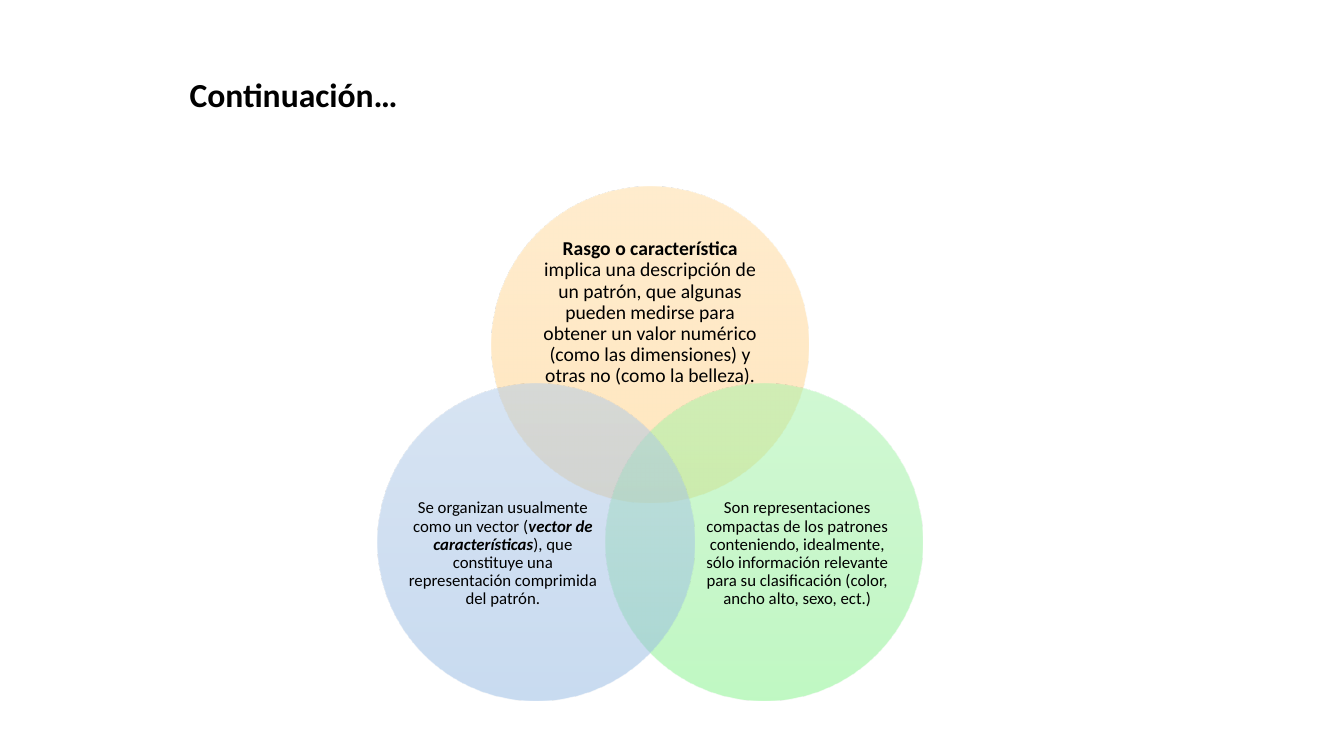
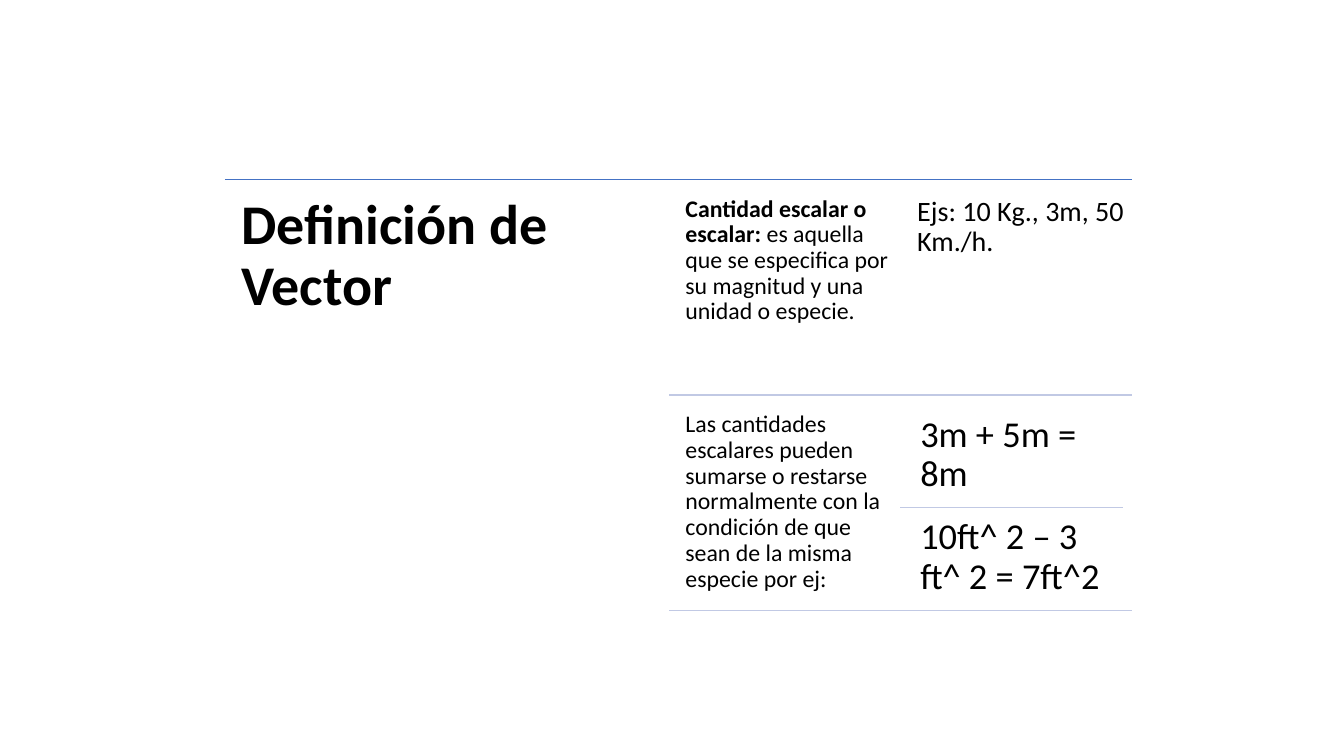
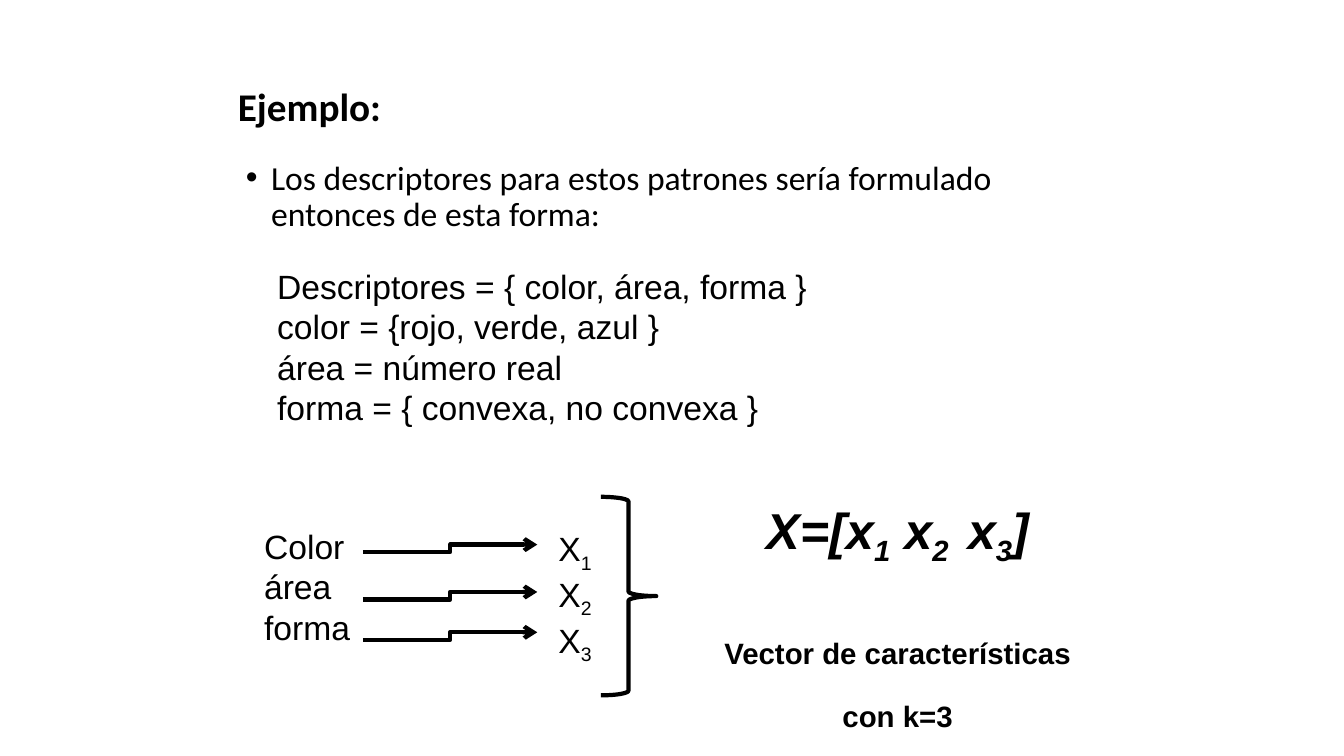
from dataclasses import dataclass, field
from math import cos, radians, sin

from lxml import etree
from pptx import Presentation
from pptx.dml.color import RGBColor
from pptx.enum.shapes import MSO_CONNECTOR, MSO_SHAPE
from pptx.enum.text import MSO_ANCHOR, MSO_AUTO_SIZE, PP_ALIGN
from pptx.oxml.ns import qn
from pptx.presentation import Presentation as Deck
from pptx.shapes.base import BaseShape
from pptx.shapes.connector import Connector
from pptx.slide import Slide
from pptx.util import Inches, Pt

LEFT, CENTER, JUSTIFY = PP_ALIGN.LEFT, PP_ALIGN.CENTER, PP_ALIGN.JUSTIFY
TOP, MIDDLE = MSO_ANCHOR.TOP, MSO_ANCHOR.MIDDLE
STRAIGHT, ELBOW = MSO_CONNECTOR.STRAIGHT, MSO_CONNECTOR.ELBOW
ELLIPSE, RIGHT_BRACE = MSO_SHAPE.OVAL, MSO_SHAPE.RIGHT_BRACE

SLIDE_WIDTH, SLIDE_HEIGHT = Inches(13.33), Inches(7.5)
GRID_COLUMNS = 80  # square cells, so the slide is 45 rows high
CELL = SLIDE_WIDTH / GRID_COLUMNS
TITLE_ONLY = 5


@dataclass(frozen=True)
class Theme:
    ink: str = "000000"
    rule: str = "4472C4"
    rule_light: str = "C1C9E4"
    orange: tuple[str, ...] = ("FFDB9E", "FFD590", "FFD07C")
    green: tuple[str, ...] = ("A4F4A9", "96F19B", "82F388")
    blue: tuple[str, ...] = ("B1CBE9", "A3C1E5", "93B9E4")
    opacity: int = 50
    main_font: str = "Calibri"
    formula_font: str = "Arial"
    hero: int = 40
    formula: int = 36
    heading: int = 28
    sum: int = 26
    body: int = 24
    example: int = 20
    definition: int = 17
    caption: int = 21
    circle_large: int = 14
    circle_small: int = 12
    rule_width: int = 1
    arrow_width: int = 3
    tight: float = 0.9


THEME = Theme()


@dataclass(frozen=True)
class Frame:
    """A rectangle in grid cells."""
    column: float
    row: float
    width: float
    height: float

    @classmethod
    def centered(cls, column: float, row: float, width: float, height: float) -> "Frame":
        return cls(column - width / 2, row - height / 2, width, height)


@dataclass(frozen=True)
class Span:
    text: str
    format: dict = field(default_factory=dict)
    baseline: int = 0


@dataclass(frozen=True)
class Para:
    spans: tuple[Span, ...]
    size: int
    before: int = 0


@dataclass(frozen=True)
class Style:
    font: str = THEME.main_font
    align: PP_ALIGN = LEFT
    anchor: MSO_ANCHOR = TOP
    inset: tuple[float, float] = (0.6, 0.3)
    spacing: float = THEME.tight
    bullet: bool = False


@dataclass(frozen=True)
class Circle:
    angle: int
    colors: tuple[str, ...]
    text_shift: tuple[float, float]
    text_size: tuple[float, float]
    para: Para


FORMULA_STYLE = Style(font=THEME.formula_font, spacing=1)
BOLD = {"bold": True}
BOLD_ITALIC = {"bold": True, "italic": True}


def cells(count: float) -> int:
    return round(count * CELL)


def plain(text: str, size: int, **format_values: bool) -> Para:
    return Para((Span(text, format_values),), size)


def subscripted(pairs: list[tuple[str, str]], size: int, **format_values: bool) -> Para:
    """Build a paragraph from pairs of base text and subscript."""
    spans = []
    for base, index in pairs:
        spans.append(Span(base, format_values))
        if index:
            spans.append(Span(index, format_values, -25))
    return Para(tuple(spans), size)


def place(shape: BaseShape, frame: Frame) -> None:
    values = {"left": frame.column, "top": frame.row,
              "width": frame.width, "height": frame.height}
    for name, count in values.items():
        setattr(shape, name, cells(count))


def add_bullet(paragraph) -> None:
    properties = paragraph._p.get_or_add_pPr()
    properties.set("marL", str(Inches(0.25)))
    properties.set("indent", str(-Inches(0.25)))
    etree.SubElement(properties, qn("a:buFont")).set("typeface", "Arial")
    etree.SubElement(properties, qn("a:buChar")).set("char", "•")


def write(box: BaseShape, paras: list[Para], style: Style) -> None:
    frame = box.text_frame
    side, end = (cells(count) for count in style.inset)
    frame_format = {"word_wrap": True, "auto_size": MSO_AUTO_SIZE.NONE,
                    "vertical_anchor": style.anchor, "margin_left": side,
                    "margin_right": side, "margin_top": end, "margin_bottom": end}
    for name, value in frame_format.items():
        setattr(frame, name, value)
    for number, para in enumerate(paras):
        paragraph = frame.add_paragraph() if number else frame.paragraphs[0]
        paragraph.alignment = style.align
        paragraph.line_spacing = style.spacing
        if para.before:
            paragraph.space_before = Pt(para.before)
        if style.bullet:
            add_bullet(paragraph)
        for span in para.spans:
            run = paragraph.add_run()
            run.text = span.text
            font_format = {"name": style.font, "size": Pt(para.size),
                           "bold": False, "italic": False, **span.format}
            for name, value in font_format.items():
                setattr(run.font, name, value)
            run.font.color.rgb = RGBColor.from_string(THEME.ink)
            if span.baseline:
                run._r.get_or_add_rPr().set("baseline", str(span.baseline * 1000))


def add_text(page: Slide, frame: Frame, paras: list[Para], style: Style = Style()) -> None:
    box = page.shapes.add_textbox(0, 0, 0, 0)
    place(box, frame)
    write(box, paras, style)


def add_page(deck: Deck, title: str, frame: Frame, size: int,
             style: Style = Style(anchor=MIDDLE)) -> Slide:
    page = deck.slides.add_slide(deck.slide_layouts[TITLE_ONLY])
    place(page.shapes.title, frame)
    write(page.shapes.title, [plain(title, size, bold=True)], style)
    return page


def add_line(page: Slide, start: tuple[float, float], end: tuple[float, float],
             color: str, width: int, kind: MSO_CONNECTOR = STRAIGHT) -> Connector:
    points = (cells(count) for count in (*start, *end))
    line = page.shapes.add_connector(kind, *points)
    line.line.color.rgb = RGBColor.from_string(color)
    line.line.width = Pt(width)
    etree.SubElement(line._element.spPr, qn("a:effectLst"))
    return line


def fill_gradient(shape: BaseShape, colors: tuple[str, ...]) -> None:
    """Fill from top to bottom with evenly spaced translucent colours."""
    shape.fill.gradient()
    gradient = shape._element.spPr.find(qn("a:gradFill"))
    for child in list(gradient):
        gradient.remove(child)
    stops = etree.SubElement(gradient, qn("a:gsLst"))
    for number, color in enumerate(colors):
        stop = etree.SubElement(stops, qn("a:gs"))
        stop.set("pos", str(100000 * number // (len(colors) - 1)))
        tint = etree.SubElement(stop, qn("a:srgbClr"))
        tint.set("val", color)
        etree.SubElement(tint, qn("a:alpha")).set("val", str(THEME.opacity * 1000))
    etree.SubElement(gradient, qn("a:lin")).set("ang", "5400000")


def build_features(deck: Deck) -> None:
    page = add_page(deck, "Continuación…", Frame(10.68, 3.66, 56.22, 4.2), THEME.body)
    center_column, center_row, ring, diameter = 38.7, 28.35, 7.83, 18.84
    small_text = (11.28, 10.38)
    circles = [
        Circle(-90, THEME.orange, (0, -9.72), (13.8, 8.46), Para((
            Span("Rasgo o característica ", BOLD),
            Span("implica una descripción de un patrón, que algunas pueden medirse "
                 "para obtener un valor numérico (como las dimensiones) y otras no "
                 "(como la belleza)."),
        ), THEME.circle_large)),
        Circle(30, THEME.green, (8.76, 4.62), small_text, plain(
            "Son representaciones compactas de los patrones conteniendo, idealmente, "
            "sólo información relevante para su clasificación (color, ancho alto, "
            "sexo, ect.)", THEME.circle_small)),
        Circle(150, THEME.blue, (-8.76, 4.62), small_text, Para((
            Span("Se organizan usualmente como un vector ("),
            Span("vector de características", BOLD_ITALIC),
            Span("), que constituye una representación comprimida del patrón."),
        ), THEME.circle_small)),
    ]
    style = Style(align=CENTER, anchor=MIDDLE, inset=(0, 0))
    for circle in circles:
        angle = radians(circle.angle)
        disc = page.shapes.add_shape(ELLIPSE, 0, 0, 0, 0)
        place(disc, Frame.centered(center_column + ring * cos(angle),
                                   center_row + ring * sin(angle), diameter, diameter))
        fill_gradient(disc, circle.colors)
        disc.line.fill.background()
        disc.shadow.inherit = False
        across, down = circle.text_shift
        add_text(page, Frame.centered(center_column + across, center_row + down,
                                      *circle.text_size), [circle.para], style)


def build_definition(deck: Deck) -> None:
    left, top, right, row_pitch = 13.38, 10.68, 67.38, 12.84
    detail_left, text_left, text_pitch = 39.84, 40.38, 13.74
    text_width, text_height, text_drop = 13.26, 12.18, 0.6
    half = text_height / 2
    page = add_page(deck, "Definición de Vector", Frame(left, top, 26.4, 26.28),
                    THEME.hero, Style(inset=(1, 1)))

    add_line(page, (left, top), (right, top), THEME.rule, THEME.rule_width)
    split = top + row_pitch + text_drop + half
    inner_left = detail_left + text_pitch
    for start, end, row in ((detail_left, right, top + row_pitch),
                            (inner_left, inner_left + text_width, split),
                            (detail_left, right, top + 2 * row_pitch)):
        add_line(page, (start, row), (end, row), THEME.rule_light, THEME.rule_width)

    scalar = Para((Span("Cantidad escalar o escalar: ", BOLD),
                   Span("es aquella que se especifica por su magnitud y una unidad "
                        "o especie.")), THEME.definition)
    adding = plain("Las cantidades escalares pueden sumarse o restarse normalmente con "
                   "la condición de que sean de la misma especie por ej:",
                   THEME.definition)
    entries = [  # column, row, drop, height, inset, para
        (0, 0, 0, text_height, 0.42, scalar),
        (1, 0, 0, text_height, 0.48, plain("Ejs: 10 Kg., 3m, 50 Km./h.", THEME.example)),
        (0, 1, 0, text_height, 0.42, adding),
        (1, 1, 0, half, 0.66, plain("3m + 5m = 8m", THEME.sum)),
        (1, 1, half, half, 0.66, plain("10ft^ 2 – 3 ft^ 2 = 7ft^2", THEME.sum)),
    ]
    for column, row, drop, height, inset, para in entries:
        frame = Frame(text_left + column * text_pitch,
                      top + row * row_pitch + text_drop + drop, text_width, height)
        add_text(page, frame, [para], Style(inset=(inset, inset)))


def build_example(deck: Deck) -> None:
    page = add_page(deck, "Ejemplo:", Frame(13.56, 4.56, 51, 3.84), THEME.heading)
    add_text(page, Frame(14.04, 9.3, 52.44, 5.4), [plain(
        "Los descriptores para estos patrones sería formulado entonces de esta forma:",
        THEME.body)], Style(bullet=True))

    descriptors = ("Descriptores = { color, área, forma }", "color = {rojo, verde, azul }",
                   "área = número real", "forma = { convexa, no convexa }")
    add_text(page, Frame(15.9, 15.54, 34.02, 10.32),
             [plain(text, THEME.body) for text in descriptors], FORMULA_STYLE)

    justified = Style(font=THEME.formula_font, align=JUSTIFY, spacing=1)
    add_text(page, Frame(32.64, 31.14, 7.38, 7.86),
             [subscripted([("X", index)], THEME.body) for index in "123"], justified)
    add_text(page, Frame(15.12, 31.02, 7.38, 7.86),
             [plain(name, THEME.body) for name in ("Color", "área", "forma")], justified)

    for row in (32.88, 35.7, 38.1):
        arrow = add_line(page, (21.6, row), (31.98, row - 0.45),
                         THEME.ink, THEME.arrow_width, ELBOW)
        outline = arrow._element.spPr.find(qn("a:ln"))
        etree.SubElement(outline, qn("a:tailEnd")).set("type", "arrow")

    brace = page.shapes.add_shape(RIGHT_BRACE, 0, 0, 0, 0)
    place(brace, Frame(35.76, 29.58, 3.3, 11.82))
    brace.fill.background()
    brace.line.color.rgb = RGBColor.from_string(THEME.ink)
    brace.line.width = Pt(THEME.arrow_width)
    brace.shadow.inherit = False

    vector = subscripted([("X=[x", "1"), (" x", "2"), ("\tx", "3"), ("]", "")],
                         THEME.formula, **BOLD_ITALIC)
    captions = [Para((Span(text, BOLD),), THEME.caption, before)
                for text, before in (("Vector de características", 48), ("con k=3", 20))]
    add_text(page, Frame(40.92, 29.4, 25.02, 14.4), [vector, *captions],
             Style(font=THEME.formula_font, align=CENTER, spacing=1))


def main() -> None:
    deck = Presentation()
    deck.slide_width, deck.slide_height = SLIDE_WIDTH, SLIDE_HEIGHT
    for build in (build_features, build_definition, build_example):
        build(deck)
    deck.save("out.pptx")


if __name__ == "__main__":
    main()
